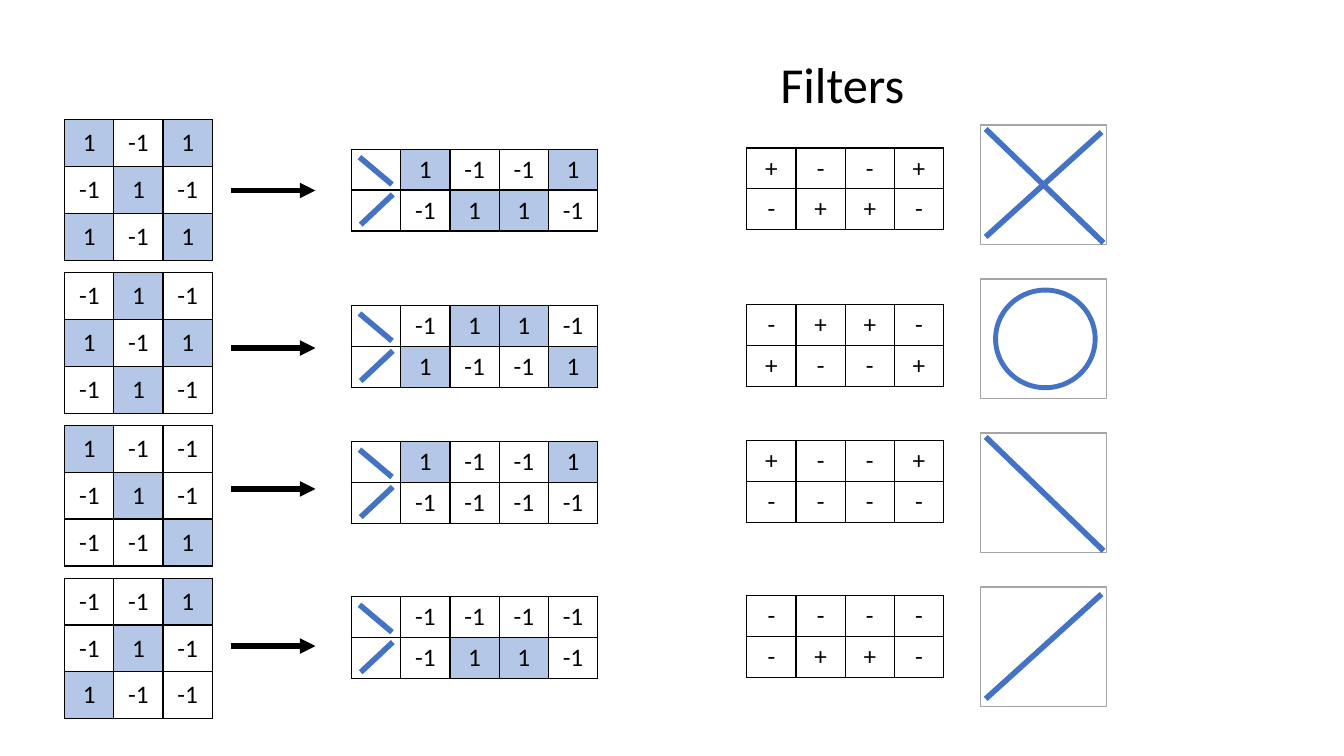
import lxml.etree
import pptx
import pptx.dml.color
import pptx.enum.shapes
import pptx.enum.text
import pptx.oxml.ns
import pptx.util

Cm = pptx.util.Cm
Pt = pptx.util.Pt
qn = pptx.oxml.ns.qn
SHAPES = pptx.enum.shapes.MSO_SHAPE

COLORS = {"ink": "000000", "active": "B4C7E7", "stroke": "4472C4",
          "frame": "A5A5A5", "paper": "FFFFFF"}
FONT = "Calibri"
CELL_WIDTH = 1.24
MATRIX_ROW = 1.18
RESPONSE_ROW = 1.03
NUMBERS = {"+": "1", "-": "-1"}
SIGNS = {"+": "+", "-": "-"}

PATTERNS = [
    {"matrix": ["+-+", "-+-", "+-+"], "response": ["+--+", "-++-"],
     "icon": ["falling", "rising"], "arrow": 4.8, "response_top": 3.76},
    {"matrix": ["-+-", "+-+", "-+-"], "response": ["-++-", "+--+"],
     "icon": ["circle"], "arrow": 8.77, "response_top": 7.7},
    {"matrix": ["+--", "-+-", "--+"], "response": ["+--+", "----"],
     "icon": ["falling"], "arrow": 12.32, "response_top": 11.13},
    {"matrix": ["--+", "-+-", "+--"], "response": ["----", "-++-"],
     "icon": ["rising"], "arrow": 16.28, "response_top": 15.04},
]
ICON_STROKES = {"falling": (0.13, 0.1, 3.1, 2.97), "rising": (3.05, 0.18, 0.13, 2.82)}
LABEL_STROKES = [(0.2, 0.2, 1.02, 0.89), (0.23, 1.9, 1.04, 1.14)]


def rgb(name):
    """Return the named colour."""
    return pptx.dml.color.RGBColor.from_string(COLORS[name])


def style_text(paragraph, size):
    """Format every run of a paragraph."""
    for run in paragraph.runs:
        run.font.size = Pt(size)
        run.font.name = FONT
        run.font.color.rgb = rgb("ink")


def draw_line(shapes, left, top, ends, color, width, arrow=False):
    """Draw a straight line whose ends are relative to left and top."""
    x1, y1, x2, y2 = ends
    line = shapes.add_connector(
        pptx.enum.shapes.MSO_CONNECTOR.STRAIGHT,
        Cm(left + x1), Cm(top + y1), Cm(left + x2), Cm(top + y2))
    line.line.color.rgb = rgb(color)
    line.line.width = Pt(width)
    properties = line._element.spPr
    if arrow:
        lxml.etree.SubElement(properties.find(qn("a:ln")), qn("a:tailEnd"), type="triangle")
    lxml.etree.SubElement(properties, qn("a:effectLst"))


def draw_borders(cell):
    """Give a cell a thin border on all four sides."""
    properties = cell._tc.get_or_add_tcPr()
    for side in ("lnL", "lnR", "lnT", "lnB"):
        border = lxml.etree.SubElement(properties, qn(f"a:{side}"), w=str(Pt(1)))
        fill = lxml.etree.SubElement(border, qn("a:solidFill"))
        lxml.etree.SubElement(fill, qn("a:srgbClr"), val=COLORS["ink"])


def draw_grid(slide, left, top, row_height, marks, texts, highlight=True):
    """Draw a table of marks; a blank mark leaves its cell empty."""
    columns = len(marks[0])
    grid = slide.shapes.add_table(
        len(marks), columns, Cm(left), Cm(top),
        Cm(CELL_WIDTH * columns), Cm(row_height * len(marks))).table
    grid.first_row = False
    grid.horz_banding = False
    for r, row in enumerate(marks):
        grid.rows[r].height = Cm(row_height)
        for c, mark in enumerate(row):
            grid.columns[c].width = Cm(CELL_WIDTH)
            cell = grid.cell(r, c)
            draw_borders(cell)
            if highlight and mark == "+":
                cell.fill.solid()
                cell.fill.fore_color.rgb = rgb("active")
            else:
                cell.fill.background()
            cell.vertical_anchor = pptx.enum.text.MSO_ANCHOR.MIDDLE
            if mark in texts:
                paragraph = cell.text_frame.paragraphs[0]
                paragraph.text = texts[mark]
                paragraph.alignment = pptx.enum.text.PP_ALIGN.CENTER
                style_text(paragraph, 18)


def draw_response(slide, left, top, response):
    """Draw a response table with a diagonal stroke labelling each row."""
    draw_grid(slide, left, top, RESPONSE_ROW, [" " + row for row in response], NUMBERS)
    for ends in LABEL_STROKES:
        draw_line(slide.shapes, left, top, ends, "stroke", 4)


def draw_outlined(shapes, kind, left, top, width, height, color, weight):
    """Draw a white shape with a coloured outline."""
    shape = shapes.add_shape(kind, Cm(left), Cm(top), Cm(width), Cm(height))
    shape.shadow.inherit = False
    shape.fill.solid()
    shape.fill.fore_color.rgb = rgb("paper")
    shape.line.color.rgb = rgb(color)
    shape.line.width = Pt(weight)


def draw_icon(slide, left, top, parts):
    """Draw the framed figure that a filter detects."""
    shapes = slide.shapes.add_group_shape().shapes
    draw_outlined(shapes, SHAPES.RECTANGLE, left, top, 3.18, 3.02, "frame", 1)
    for part in parts:
        if part == "circle":
            draw_outlined(shapes, SHAPES.FLOWCHART_CONNECTOR,
                          left + 0.38, top + 0.28, 2.51, 2.46, "stroke", 3.5)
        else:
            draw_line(shapes, left, top, ICON_STROKES[part], "stroke", 4)


def place_heading(slide, left, top, width, height):
    """Place the heading above the filters."""
    heading = slide.shapes.title
    heading.left, heading.top = Cm(left), Cm(top)
    heading.width, heading.height = Cm(width), Cm(height)
    frame = heading.text_frame
    frame.text = "Filters"
    frame.word_wrap = True
    frame.auto_size = pptx.enum.text.MSO_AUTO_SIZE.NONE
    frame.vertical_anchor = pptx.enum.text.MSO_ANCHOR.TOP
    frame.paragraphs[0].alignment = pptx.enum.text.PP_ALIGN.LEFT
    style_text(frame.paragraphs[0], 36)


def draw_pattern(slide, index, pattern):
    """Draw one row: matrix, arrow, response, filter and figure."""
    draw_grid(slide, 1.63, 3.02 + 3.85 * index, MATRIX_ROW, pattern["matrix"], NUMBERS)
    draw_line(slide.shapes, 5.82, pattern["arrow"], (0, 0, 2.13, 0), "ink", 3.75, arrow=True)
    draw_response(slide, 8.86, pattern["response_top"], pattern["response"])
    draw_grid(slide, 18.82, pattern["response_top"] - 0.03, RESPONSE_ROW,
              pattern["response"], SIGNS, highlight=False)
    draw_icon(slide, 24.71, 3.15 + 3.88 * index, pattern["icon"])


def main():
    """Build and save the slide."""
    deck = pptx.Presentation()
    deck.slide_width, deck.slide_height = Cm(33.87), Cm(19.05)
    slide = deck.slides.add_slide(deck.slide_layouts.get_by_name("Title Only"))
    place_heading(slide, 19.41, 1.22, 3.81, 1.8)
    for index, pattern in enumerate(PATTERNS):
        draw_pattern(slide, index, pattern)
    deck.save("out.pptx")


if __name__ == "__main__":
    main()
